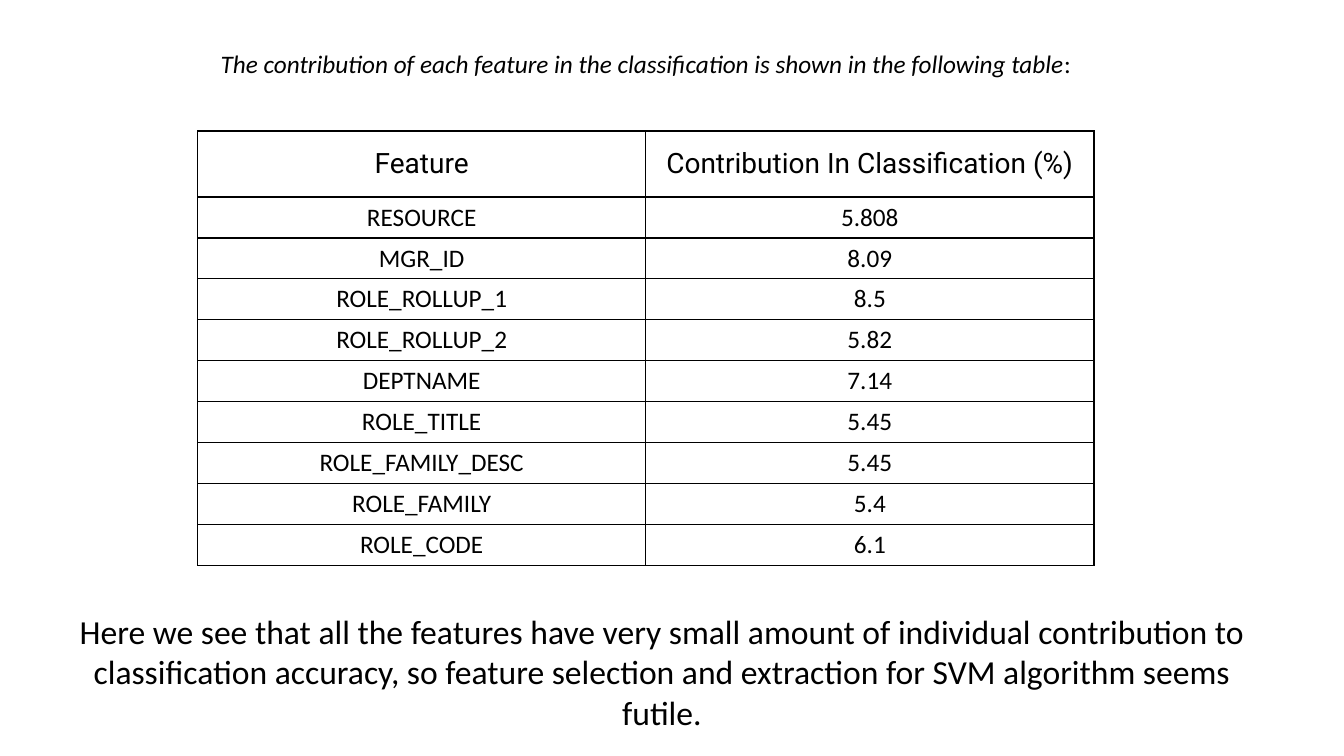
import pptx
import pptx.dml.color
import pptx.enum.text
import pptx.util
from lxml import etree
from pptx.oxml.ns import qn

COLOURS = {"ink": "000000"}
BODY = {"name": "Calibri", "size": pptx.util.Pt(18)}
HEADER = {"name": "Roboto", "size": pptx.util.Pt(20)}
CLOSING = {"name": "Calibri", "size": pptx.util.Pt(24)}

INTRO_RUNS = [
    ("The contribution of each feature in the classification is shown in the following table",
     {**BODY, "italic": True}),
    (":", BODY),
]
CLOSING_RUNS = [
    ("Here we see that all the features have very small amount of individual contribution to "
     "classification accuracy, so feature selection and extraction for SVM algorithm seems futile.",
     CLOSING),
]
CONTRIBUTIONS = [
    ("Feature", "Contribution In Classification (%)"),
    ("RESOURCE", "5.808"),
    ("MGR_ID", "8.09"),
    ("ROLE_ROLLUP_1", "8.5"),
    ("ROLE_ROLLUP_2", "5.82"),
    ("DEPTNAME", "7.14"),
    ("ROLE_TITLE", "5.45"),
    ("ROLE_FAMILY_DESC", "5.45"),
    ("ROLE_FAMILY", "5.4"),
    ("ROLE_CODE", "6.1"),
]

SLIDE_SIZE = (13.33, 7.5)
INTRO_BOX = (1.12, 0.43, 10.57, 0.4)
CLOSING_BOX = (0.41, 6.01, 12.31, 1.31)
TABLE_LEFT, TABLE_TOP = 1.96, 1.3
COLUMN_WIDTH, HEADER_HEIGHT, ROW_HEIGHT = 4.445, 0.655, 0.406
BORDER_WIDTH = pptx.util.Pt(1)


def inches(values):
    """Convert a sequence of numbers to slide lengths."""
    return [pptx.util.Inches(value) for value in values]


def write_runs(text_frame, runs):
    """Fill a text frame with one centred paragraph of formatted runs."""
    paragraph = text_frame.paragraphs[0]
    paragraph.alignment = pptx.enum.text.PP_ALIGN.CENTER
    for text, font_format in runs:
        run = paragraph.add_run()
        run.text = text
        run.font.color.rgb = pptx.dml.color.RGBColor.from_string(COLOURS["ink"])
        for attribute, value in font_format.items():
            setattr(run.font, attribute, value)


def add_text(slide, box, runs):
    """Add a wrapping text box."""
    text_frame = slide.shapes.add_textbox(*inches(box)).text_frame
    text_frame.word_wrap = True
    write_runs(text_frame, runs)


def add_borders(cell):
    """Draw a solid line on all four sides of a cell."""
    properties = cell._tc.get_or_add_tcPr()
    for position, side in enumerate(("lnL", "lnR", "lnT", "lnB")):
        line = etree.Element(qn(f"a:{side}"), w=str(BORDER_WIDTH))
        fill = etree.SubElement(line, qn("a:solidFill"))
        etree.SubElement(fill, qn("a:srgbClr"), val=COLOURS["ink"])
        properties.insert(position, line)


def add_contribution_table(slide):
    """Add the unfilled, bordered table of feature contributions."""
    heights = [HEADER_HEIGHT] + [ROW_HEIGHT] * (len(CONTRIBUTIONS) - 1)
    column_count = len(CONTRIBUTIONS[0])
    box = (TABLE_LEFT, TABLE_TOP, COLUMN_WIDTH * column_count, sum(heights))
    table = slide.shapes.add_table(len(heights), column_count, *inches(box)).table
    table.first_row = table.horz_banding = False
    for row, height in zip(table.rows, inches(heights)):
        row.height = height
    for row_index, values in enumerate(CONTRIBUTIONS):
        for column_index, text in enumerate(values):
            cell = table.cell(row_index, column_index)
            cell.fill.background()
            add_borders(cell)
            write_runs(cell.text_frame, [(text, BODY if row_index else HEADER)])
            if row_index == 0:
                cell.vertical_anchor = pptx.enum.text.MSO_ANCHOR.MIDDLE


presentation = pptx.Presentation()
presentation.slide_width, presentation.slide_height = inches(SLIDE_SIZE)
slide = presentation.slides.add_slide(presentation.slide_layouts[6])
add_text(slide, INTRO_BOX, INTRO_RUNS)
add_contribution_table(slide)
add_text(slide, CLOSING_BOX, CLOSING_RUNS)
presentation.save("out.pptx")
